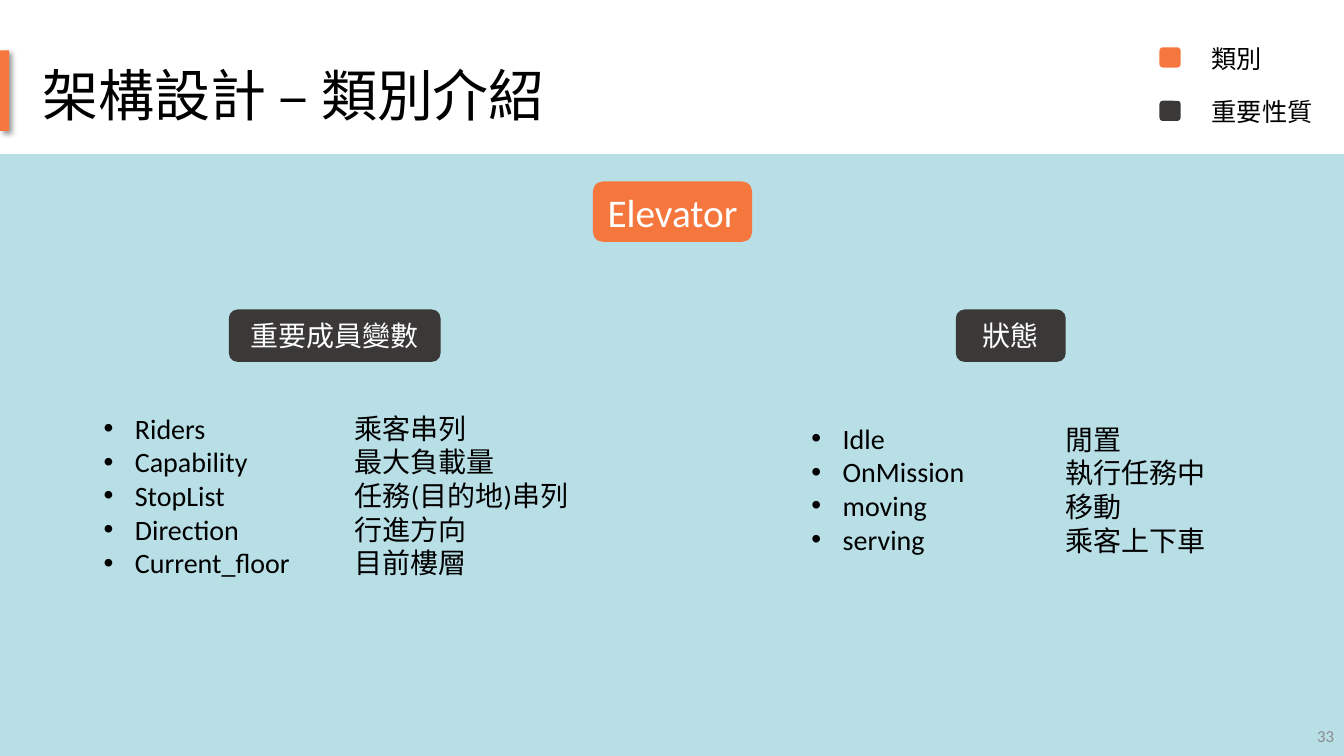
from dataclasses import dataclass

from lxml import etree
from pptx import Presentation
from pptx.dml.color import RGBColor
from pptx.enum import shapes, text
from pptx.oxml import ns
from pptx.util import Inches, Pt


@dataclass(frozen=True)
class Theme:
    orange: str = "F5773D"
    dark: str = "3B3838"
    panel: str = "B8DEE6"
    black: str = "000000"
    white: str = "FFFFFF"
    gray: str = "8C8C8C"
    font: str = "Calibri"
    title_font: str = "Noto Sans CJK JP"
    title: int = 40
    heading: int = 28
    body: int = 20
    legend: int = 18
    number: int = 12


T = Theme()
RECT = shapes.MSO_SHAPE.RECTANGLE
ROUND = shapes.MSO_SHAPE.ROUNDED_RECTANGLE
ALIGN = text.PP_ALIGN
MIDDLE = text.MSO_ANCHOR.MIDDLE

MEMBERS = [
    ("Riders", "乘客串列"),
    ("Capability", "最大負載量"),
    ("StopList", "任務(目的地)串列"),
    ("Direction", "行進方向"),
    ("Current_floor", "目前樓層"),
]
STATES = [
    ("Idle", "閒置"),
    ("OnMission", "執行任務中"),
    ("moving", "移動"),
    ("serving", "乘客上下車"),
]


def add_run(p, words, size, color, font=T.font):
    r = p.add_run()
    r.text = words
    r.font.name = font
    r.font.size = Pt(size)
    r.font.color.rgb = RGBColor.from_string(color)


def add_box(s, kind, at, fill):
    sp = s.shapes.add_shape(kind, *map(Inches, at))
    sp.shadow.inherit = False
    sp.fill.solid()
    sp.fill.fore_color.rgb = RGBColor.from_string(fill)
    sp.line.fill.background()
    return sp


def add_label(s, at, words, size, fill):
    tf = add_box(s, ROUND, at, fill).text_frame
    tf.vertical_anchor = MIDDLE
    tf.word_wrap = True
    p = tf.paragraphs[0]
    p.alignment = ALIGN.CENTER
    add_run(p, words, size, T.white)


def add_bullet(p):
    pPr = p._p.get_or_add_pPr()
    pPr.set("marL", str(Inches(0.31)))
    pPr.set("indent", str(-Inches(0.31)))
    etree.SubElement(pPr, ns.qn("a:buFont"), typeface="Arial")
    etree.SubElement(pPr, ns.qn("a:buChar"), char="•")


def add_text(s, at, lines, size, color=T.black, font=T.font, wrap=True,
             bullets=False, align=ALIGN.LEFT):
    tf = s.shapes.add_textbox(*map(Inches, at)).text_frame
    tf.word_wrap = wrap
    for i, line in enumerate(lines):
        p = tf.add_paragraph() if i else tf.paragraphs[0]
        if bullets:
            add_bullet(p)
        p.alignment = align
        add_run(p, line, size, color, font)
    return tf


def add_soft_shadow(sp):
    effects = sp._element.spPr.find(ns.qn("a:effectLst"))
    shadow = etree.SubElement(effects, ns.qn("a:outerShdw"), blurRad=str(Pt(4)),
                              dist=str(Pt(3)), dir=str(45 * 60000), algn="tl",
                              rotWithShape="0")
    color = etree.SubElement(shadow, ns.qn("a:srgbClr"), val=T.black)
    etree.SubElement(color, ns.qn("a:alpha"), val="40000")


def add_glossary(s, rows, names_at, meanings_at):
    names, meanings = zip(*rows)
    add_text(s, names_at, names, T.body, bullets=True)
    add_text(s, meanings_at, meanings, T.body)


def add_legend_item(s, top, color, words, width):
    add_box(s, ROUND, (11.5, top, 0.21, 0.2), color)
    add_text(s, (11.92, top - 0.09, width, 0.4), [words], T.legend, wrap=False)


def main():
    prs = Presentation()
    prs.slide_width, prs.slide_height = Inches(13.33), Inches(7.5)
    s = prs.slides.add_slide(prs.slide_layouts[6])

    # Background panel and page number
    add_box(s, RECT, (0, 1.53, 13.33, 5.97), T.panel)
    number = add_text(s, (10.33, 7.1, 3, 0.4), ["33"], T.number, T.gray,
                      align=ALIGN.RIGHT)
    number.vertical_anchor = MIDDLE

    # Title with accent bar
    add_soft_shadow(add_box(s, RECT, (0, 0.5, 0.09, 0.8), T.orange))
    add_text(s, (0.32, 0.55, 5.25, 0.77), ["架構設計 – 類別介紹"], T.title,
             font=T.title_font, wrap=False)

    # Class and its two properties
    add_label(s, (5.88, 1.8, 1.58, 0.6), "Elevator", T.heading, T.orange)
    add_label(s, (2.27, 3.07, 2.1, 0.52), "重要成員變數", T.body, T.dark)
    add_label(s, (9.48, 3.07, 1.09, 0.52), "狀態", T.body, T.dark)

    # Names with their meanings
    add_glossary(s, MEMBERS, (0.93, 4.03, 2.47, 1.78), (3.42, 4.03, 2.84, 1.78))
    add_glossary(s, STATES, (7.95, 4.13, 2.06, 1.45), (10.47, 4.14, 2.26, 1.45))

    # Legend
    add_legend_item(s, 0.47, T.orange, "類別", 0.71)
    add_legend_item(s, 1, T.dark, "重要性質", 1.21)

    prs.save("out.pptx")


if __name__ == "__main__":
    main()
